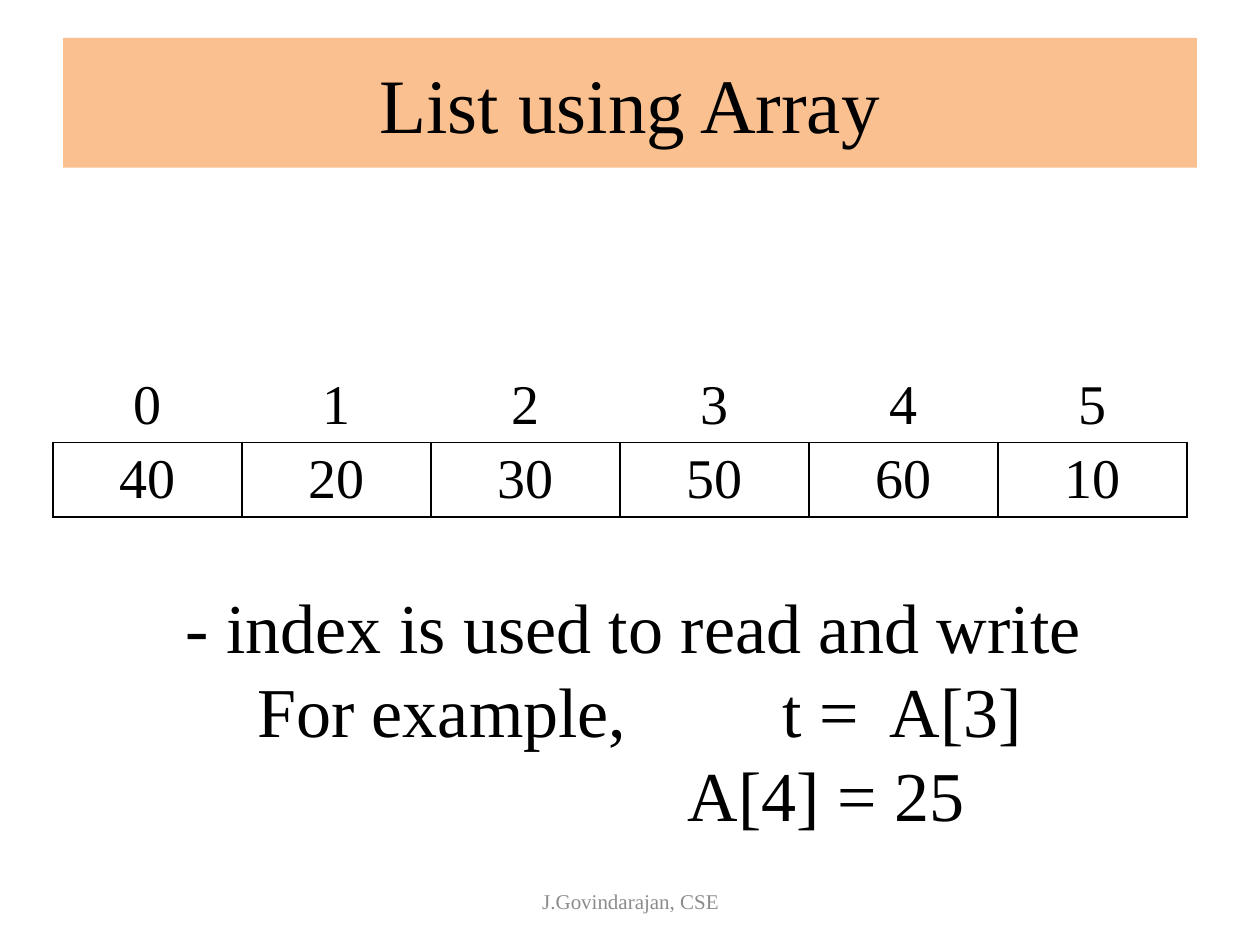
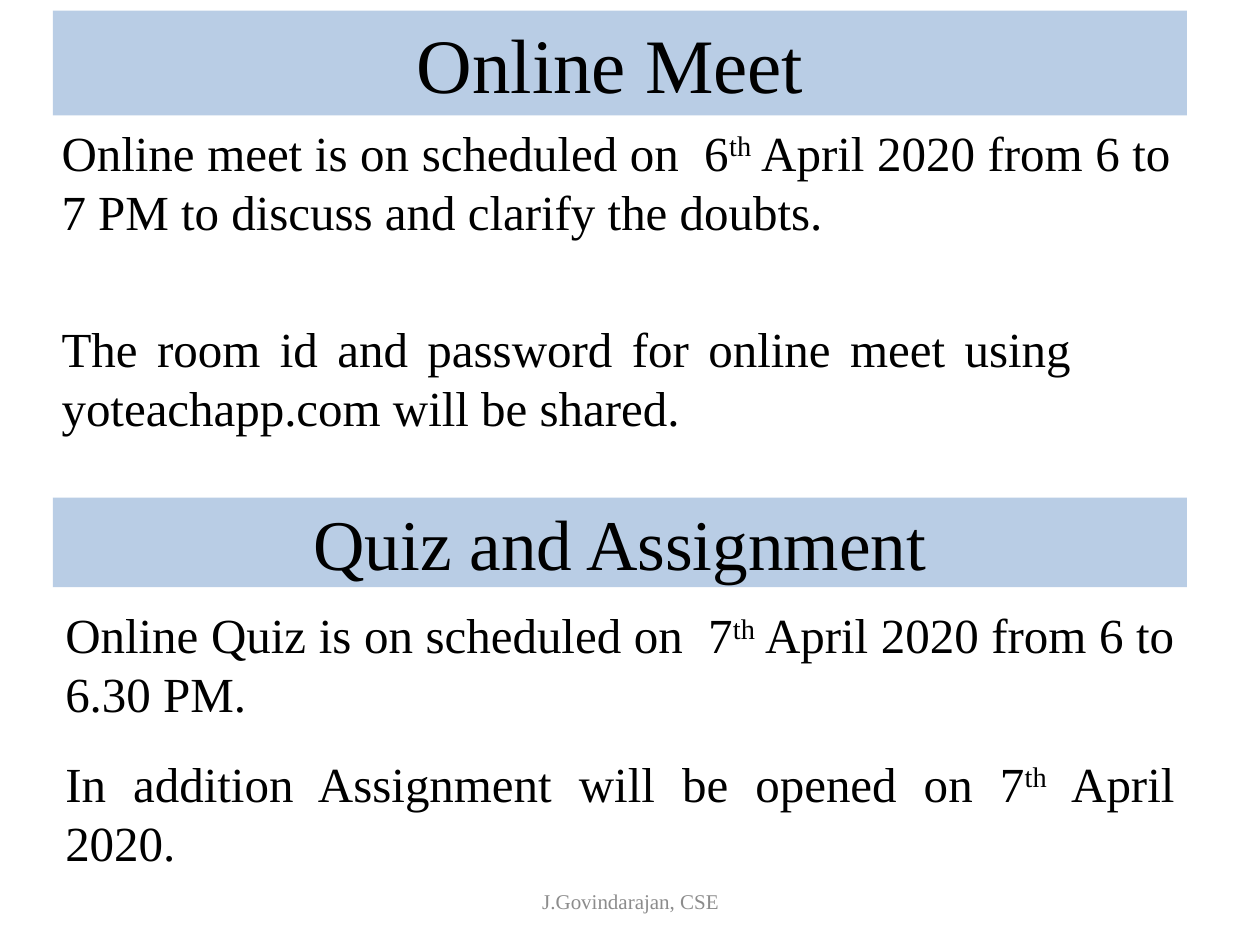
from lxml import etree
from pptx import Presentation
from pptx.dml.color import RGBColor
from pptx.enum.shapes import MSO_SHAPE
from pptx.enum.text import MSO_ANCHOR, MSO_AUTO_SIZE, PP_ALIGN
from pptx.oxml.ns import qn
from pptx.util import Pt

RECT = MSO_SHAPE.RECTANGLE
MID, TOP = MSO_ANCHOR.MIDDLE, MSO_ANCHOR.TOP
CENTER, LEFT, JUST = PP_ALIGN.CENTER, PP_ALIGN.LEFT, PP_ALIGN.JUSTIFY
FIXED = MSO_AUTO_SIZE.NONE

HUES = {"peach": "FAC090", "blue": "B9CDE5", "black": "000000", "gray": "8C8C8C"}
FACE = "Times New Roman"

HEAD = {"alignment": CENTER}
NOTE = {"alignment": JUST, "line_spacing": Pt(33.7)}
CODE = {"alignment": LEFT, "line_spacing": Pt(48)}


def apply(item, form):
    for name, value in form.items():
        setattr(item, name, value)


def place(shape, box):
    for name, value in zip(("left", "top", "width", "height"), box):
        setattr(shape, name, Pt(value))


def add_run(para, text, size, hue, raised=False):
    run = para.add_run()
    run.text = text
    apply(run.font, {"name": FACE, "size": Pt(size)})
    run.font.color.rgb = RGBColor.from_string(HUES[hue])
    if raised:
        run.font._element.set("baseline", "30000")


def set_tabs(para, stops):
    tabs = etree.SubElement(para._p.get_or_add_pPr(), qn("a:tabLst"))
    for stop in stops:
        etree.SubElement(tabs, qn("a:tab"), pos=str(Pt(stop)), algn="l")


def write(para, text, size, form, hue="black"):
    apply(para, form)
    for index, part in enumerate(text.split("^")):
        add_run(para, part, size, hue, index % 2 == 1)


def setup(frame, anchor=TOP):
    apply(frame, {"word_wrap": True, "auto_size": FIXED, "vertical_anchor": anchor})


def add_text(slide, box, lines, size, form, anchor=TOP, hue="black", gap=0):
    frame = slide.shapes.add_textbox(*map(Pt, box)).text_frame
    setup(frame, anchor)
    for index, text in enumerate(lines):
        para = frame.add_paragraph() if index else frame.paragraphs[0]
        write(para, text, size, form, hue)
        if index:
            para.space_before = Pt(gap)
    return frame


def fill_band(shape, box, text, size, hue):
    place(shape, box)
    shape.fill.solid()
    shape.fill.fore_color.rgb = RGBColor.from_string(HUES[hue])
    setup(shape.text_frame, MID)
    write(shape.text_frame.paragraphs[0], text, size, HEAD)


def add_band(slide, box, text, size, hue):
    shape = slide.shapes.add_shape(RECT, *map(Pt, box))
    shape.shadow.inherit = False
    shape.line.fill.background()
    fill_band(shape, box, text, size, hue)


def add_slide(deck, box, title, hue):
    slide = deck.slides.add_slide(deck.slide_layouts[5])
    fill_band(slide.shapes.title, box, title, 44, hue)
    add_text(slide, (246.24, 500.4, 228.24, 28.8), ["J.Govindarajan, CSE"],
             12, HEAD, MID, "gray")
    return slide


def add_edges(cell, sides):
    props = cell._tc.get_or_add_tcPr()
    for index, side in enumerate(sides):
        line = etree.Element(qn("a:ln" + side), w=str(Pt(1)))
        solid = etree.SubElement(line, qn("a:solidFill"))
        etree.SubElement(solid, qn("a:srgbClr"), val=HUES["black"])
        props.insert(index, line)


def add_array(slide, spot, values):
    rows = [range(len(values)), values]
    wide, high = 108, 42.6
    table = slide.shapes.add_table(2, len(values), *map(Pt, spot),
                                   Pt(wide * len(values)), Pt(high * 2)).table
    apply(table, {"first_row": False, "horz_banding": False})
    for column in table.columns:
        column.width = Pt(wide)
    for row, items, sides in zip(table.rows, rows, ("B", "LRTB")):
        row.height = Pt(high)
        for cell, item in zip(row.cells, items):
            apply(cell, {"margin_top": Pt(3.6), "margin_bottom": 0,
                         "vertical_anchor": TOP})
            cell.fill.background()
            add_edges(cell, sides)
            write(cell.text_frame.paragraphs[0], str(item), 32, HEAD)


def add_list(deck):
    slide = add_slide(deck, (36, 21.6, 648, 74.16), "List using Array", "peach")
    add_array(slide, (30.24, 210.24), [40, 20, 30, 50, 60, 10])
    lines = ["\t- index is used to read and write",
             "\tFor example,\tt =  A[3]",
             "\tA[4] = 25"]
    frame = add_text(slide, (90, 329.76, 594, 152.64), lines, 40, CODE)
    for para, stops in zip(frame.paragraphs, ([9], [50, 350], [296])):
        set_tabs(para, stops)


def add_meet(deck):
    slide = add_slide(deck, (30.24, 6, 648, 60), "Online Meet ", "blue")
    add_text(slide, (28.08, 66.24, 648, 80),
             ["Online meet is on scheduled on  6^th^ April 2020 from 6 to 7 PM "
              "to discuss and clarify the doubts."], 28, NOTE)
    add_text(slide, (28.08, 178.6, 591, 80),
             ["The room id and password for online meet using "
              "yoteachapp.com will be shared."], 28, NOTE)
    add_band(slide, (30.24, 284.4, 648, 51.12), "Quiz and Assignment", 40.7, "blue")
    add_text(slide, (30.24, 342, 648, 160),
             ["Online Quiz is on scheduled on  7^th^ April 2020 from 6 to 6.30 PM.",
              "In addition Assignment will be opened on 7^th^ April 2020."],
             28, NOTE, gap=17.6)


def main():
    deck = Presentation()
    apply(deck, {"slide_width": Pt(720), "slide_height": Pt(540)})
    add_list(deck)
    add_meet(deck)
    deck.save("out.pptx")


if __name__ == "__main__":
    main()
